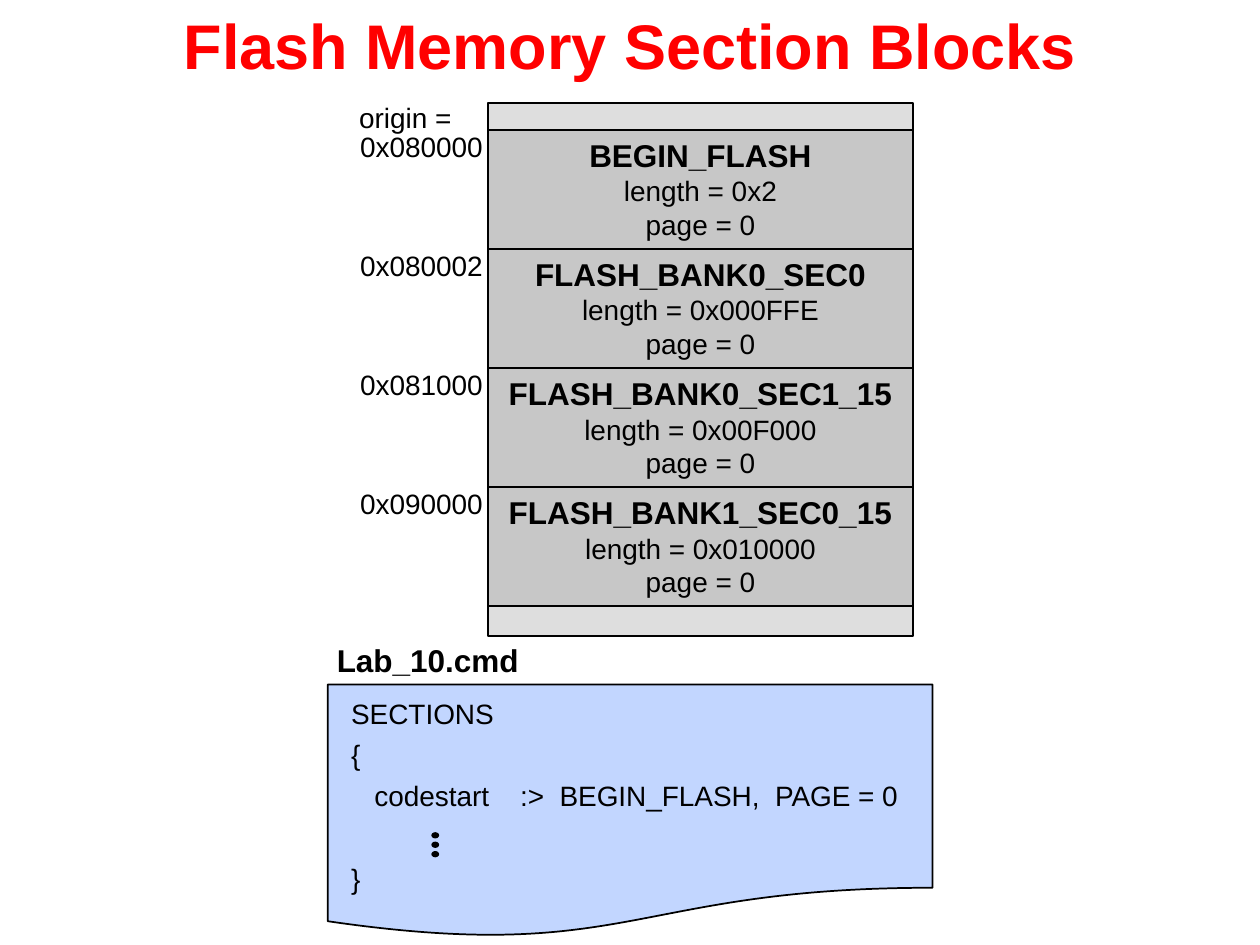
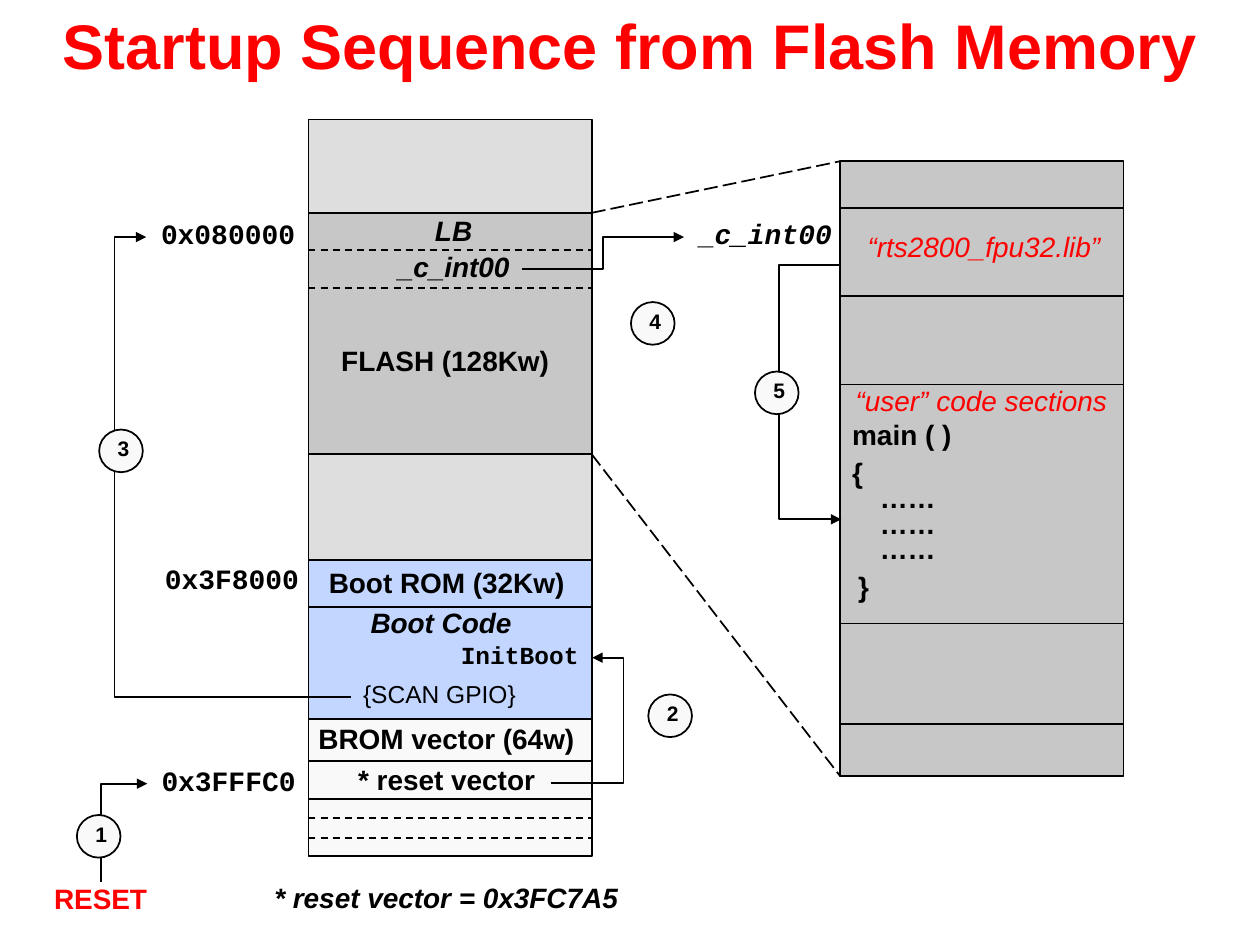
from lxml import etree
from pptx import Presentation
from pptx.dml.color import RGBColor
from pptx.enum.dml import MSO_LINE
from pptx.enum.shapes import MSO_CONNECTOR as CON, MSO_SHAPE as SHAPE
from pptx.enum.text import MSO_ANCHOR as ANCHOR, PP_ALIGN as ALIGN
from pptx.oxml.ns import qn
from pptx.util import Cm, Pt

COLORS = {
    "black": "000000",
    "red": "FF0000",
    "flash": "C7C7C7",
    "unused": "DEDEDE",
    "boot": "C2D6FF",
    "pale": "F9F9F9",
}

PLAIN = dict(size=16, bold=False, italic=False, font="Arial", color="black")
BOLD = PLAIN | dict(bold=True)
ITALIC = BOLD | dict(italic=True)
RED_ITALIC = PLAIN | dict(italic=True, color="red")
HEADING = BOLD | dict(size=18)
TITLE = BOLD | dict(size=36, color="red")
ADDRESS = BOLD | dict(font="Courier New")


def add_box(s, at, paras=(), shape=None, fill=None, weight=1,
            align=ALIGN.LEFT, spacing=0.8):
    """Add a filled shape, or a text box without one; a paragraph is a list of (text, look)."""
    x, y, w, h = (Cm(v) for v in at)
    if shape is None:
        sp = s.shapes.add_textbox(x, y, w, h)
    else:
        sp = s.shapes.add_shape(shape, x, y, w, h)
        sp.shadow.inherit = False
        sp.fill.solid()
        sp.fill.fore_color.rgb = RGBColor.from_string(COLORS[fill])
        sp.line.color.rgb = RGBColor.from_string(COLORS["black"])
        sp.line.width = Pt(weight)
    tf = sp.text_frame
    tf.word_wrap = False
    tf.vertical_anchor = ANCHOR.MIDDLE if shape else ANCHOR.TOP
    for i, runs in enumerate(paras):
        p = tf.add_paragraph() if i else tf.paragraphs[0]
        p.alignment = align
        p.line_spacing = spacing
        for text, look in runs:
            r = p.add_run()
            r.text = text
            r.font.size = Pt(look["size"])
            r.font.bold = look["bold"]
            r.font.italic = look["italic"]
            r.font.name = look["font"]
            r.font.color.rgb = RGBColor.from_string(COLORS[look["color"]])
    return sp


def add_line(s, start, end, dash=None, arrow=False, turn=None):
    """Add a straight line, or an elbow whose vertical part is at x = turn."""
    kind = CON.STRAIGHT if turn is None else CON.ELBOW
    c = s.shapes.add_connector(kind, *(Cm(v) for v in (*start, *end)))
    c.line.color.rgb = RGBColor.from_string(COLORS["black"])
    c.line.width = Pt(1)
    if dash:
        c.line.dash_style = dash
    spPr = c._element.spPr
    if arrow:
        etree.SubElement(spPr.find(qn("a:ln")), qn("a:tailEnd"), type="triangle")
    etree.SubElement(spPr, qn("a:effectLst"))
    if turn is not None:
        share = round((turn - start[0]) / (end[0] - start[0]) * 100000)
        guides = spPr.find(qn("a:prstGeom")).find(qn("a:avLst"))
        etree.SubElement(guides, qn("a:gd"), name="adj1", fmla=f"val {share}")
    return c


prs = Presentation()
prs.slide_width, prs.slide_height = Cm(25.4), Cm(19.05)
slides = []
for title in ("Flash Memory Section Blocks", "Startup Sequence from Flash Memory"):
    s = prs.slides.add_slide(prs.slide_layouts[6])
    sp = add_box(s, (0, 0, 25.4, 2.06), [[(title, TITLE)]], align=ALIGN.CENTER, spacing=1)
    sp.text_frame.vertical_anchor = ANCHOR.MIDDLE
    sp.text_frame.margin_bottom = Cm(0.41)
    slides.append(s)

# Slide 1: linker command file
s = slides[0]
add_box(s, (6.61, 13.8, 12.19, 5.11), shape=SHAPE.FLOWCHART_DOCUMENT, fill="boot")
code = ["SECTIONS", "{", "   codestart    :>  BEGIN_FLASH,  PAGE = 0", "}"]
sp = add_box(s, (6.83, 14.05, 11.71, 4.37), [[(line, PLAIN)] for line in code])
for p, gap in zip(sp.text_frame.paragraphs[1:], (8, 8, 32.4)):
    p.space_before = Pt(gap)
add_box(s, (6.54, 12.95, 4.19, 0.86), [[("Lab_10.cmd", HEADING)]])
for i in range(3):
    add_box(s, (8.71, 16.79 + 0.19 * i, 0.13, 0.1), shape=SHAPE.OVAL, fill="black", weight=0.75)

# Slide 1: memory map
MAP_X, MAP_W, MAP_TOP, BLOCK_H = 9.84, 8.56, 2.62, 2.4
blocks = [
    ("0x080000", "BEGIN_FLASH", "0x2"),
    ("0x080002", "FLASH_BANK0_SEC0", "0x000FFE"),
    ("0x081000", "FLASH_BANK0_SEC1_15", "0x00F000"),
    ("0x090000", "FLASH_BANK1_SEC0_15", "0x010000"),
]
map_h = BLOCK_H * len(blocks)
add_box(s, (6.99, 2.03, 2.39, 0.79), [[("origin =", PLAIN)]])
bands = [
    (MAP_TOP, map_h, "flash"),
    (MAP_TOP - 0.54, 0.54, "unused"),
    (MAP_TOP + map_h, 0.61, "unused"),
]
for y, h, fill in bands:
    add_box(s, (MAP_X, y, MAP_W, h), shape=SHAPE.RECTANGLE, fill=fill)
for i, (origin, name, length) in enumerate(blocks):
    y = MAP_TOP + BLOCK_H * i
    if i:
        add_line(s, (MAP_X, y), (MAP_X + MAP_W, y))
    paras = [[(name, HEADING)], [(f"length = {length}", PLAIN)], [("page = 0", PLAIN)]]
    add_box(s, (MAP_X, y, MAP_W, BLOCK_H), paras, align=ALIGN.CENTER, spacing=1)
    add_box(s, (7.01, y, 3.02, 0.81), [[(origin, PLAIN)]])

# Slide 2: memory column and the enlarged code column
s = slides[1]
MEM_X, CODE_X, COL_W = 6.22, 16.94, 5.71
MEM_R = MEM_X + COL_W
edges = [2.41, 4.29, 9.16, 11.29, 14.5, 17.26]
fills = ["unused", "flash", "unused", "boot", "pale"]
for top, bottom, fill in zip(edges, edges[1:], fills):
    add_box(s, (MEM_X, top, COL_W, bottom - top), shape=SHAPE.RECTANGLE, fill=fill)
add_box(s, (CODE_X, 3.25, COL_W, 12.4), shape=SHAPE.RECTANGLE, fill="flash")

dividers = [
    (MEM_X, None, (12.24, 15.34, 16.1)),
    (MEM_X, MSO_LINE.DASH, (5.04, 5.8, 16.49, 16.89)),
    (CODE_X, None, (4.19, 5.97, 7.75, 12.57, 14.6)),
]
for x, dash, heights in dividers:
    for y in heights:
        add_line(s, (x, y), (x + COL_W, y), dash)
for y, code_y in ((4.29, 3.25), (9.16, 15.65)):
    add_line(s, (MEM_R, y), (CODE_X, code_y), MSO_LINE.LONG_DASH)

# Slide 2: labels
for x, y, address in ((2.95, 4.37, "0x080000"), (3.03, 11.33, "0x3F8000"), (2.96, 15.39, "0x3FFFC0")):
    add_box(s, (x, y, 3.25, 0.81), [[(address, ADDRESS)]], align=ALIGN.RIGHT)
add_box(s, (13.79, 4.37, 3.23, 0.81),
        [[("_", ITALIC), ("c_int00", ITALIC | dict(font="Courier New"))]], align=ALIGN.RIGHT)

labels = [
    (8.52, 4.32, 1.27, "LB", ITALIC),
    (7.77, 5.03, 2.77, "_c_int00", ITALIC),
    (6.63, 6.94, 4.75, "FLASH (128Kw)", BOLD),
    (6.38, 11.4, 5.28, "Boot ROM (32Kw)", BOLD),
    (7.22, 12.22, 3.35, "Boot Code", ITALIC),
    (9.04, 12.9, 2.9, "InitBoot", ADDRESS | dict(size=14)),
    (7.07, 13.68, 3.61, "{SCAN GPIO}", PLAIN | dict(size=14)),
    (6.17, 14.55, 5.74, "BROM vector (64w)", BOLD),
    (6.97, 15.37, 4.14, "* reset vector", BOLD),
    (5.28, 17.75, 7.52, "* reset vector = 0x3FC7A5", ITALIC),
    (17.24, 4.63, 5.26, "“rts2800_fpu32.lib”", RED_ITALIC),
    (17, 7.74, 5.61, "“user” code sections", RED_ITALIC),
    (0.84, 17.78, 2.39, "RESET", BOLD | dict(color="red")),
]
for x, y, w, text, look in labels:
    add_box(s, (x, y, w, 0.8), [[(text, look)]])

main_code = [
    (16.93, 8.51, 2.51, "main ( )"),
    (16.93, 9.27, 1.22, "{"),
    *((17.02, 9.78 + 0.51 * i, 2.11, "   ……") for i in range(3)),
    (17.05, 11.56, 0.74, "}"),
]
for x, y, w, text in main_code:
    add_box(s, (x, y, w, 0.69), [[(text, BOLD)]], spacing=0.65)

# Slide 2: numbered startup path
jumps = [
    ((2.03, 17.78), (2.97, 15.8), 2.03),
    ((11.1, 15.78), (11.94, 13.26), 12.57),
    ((7.07, 14.05), (2.95, 4.78), 2.31),
    ((10.53, 5.43), (13.79, 4.78), 12.16),
    ((16.91, 5.34), (16.96, 10.47), 15.71),
]
for start, end, turn in jumps:
    add_line(s, start, end, arrow=True, turn=turn)
steps = [(1.55, 16.43), (13.07, 14), (2, 8.66), (12.72, 6.09), (15.22, 7.49)]
for number, (x, y) in enumerate(steps, 1):
    sp = add_box(s, (x, y, 0.88, 0.86), [[(str(number), BOLD | dict(size=12))]],
                 SHAPE.OVAL, "pale", align=ALIGN.CENTER)
    sp.text_frame.margin_left = Cm(0.35)

prs.save("out.pptx")
